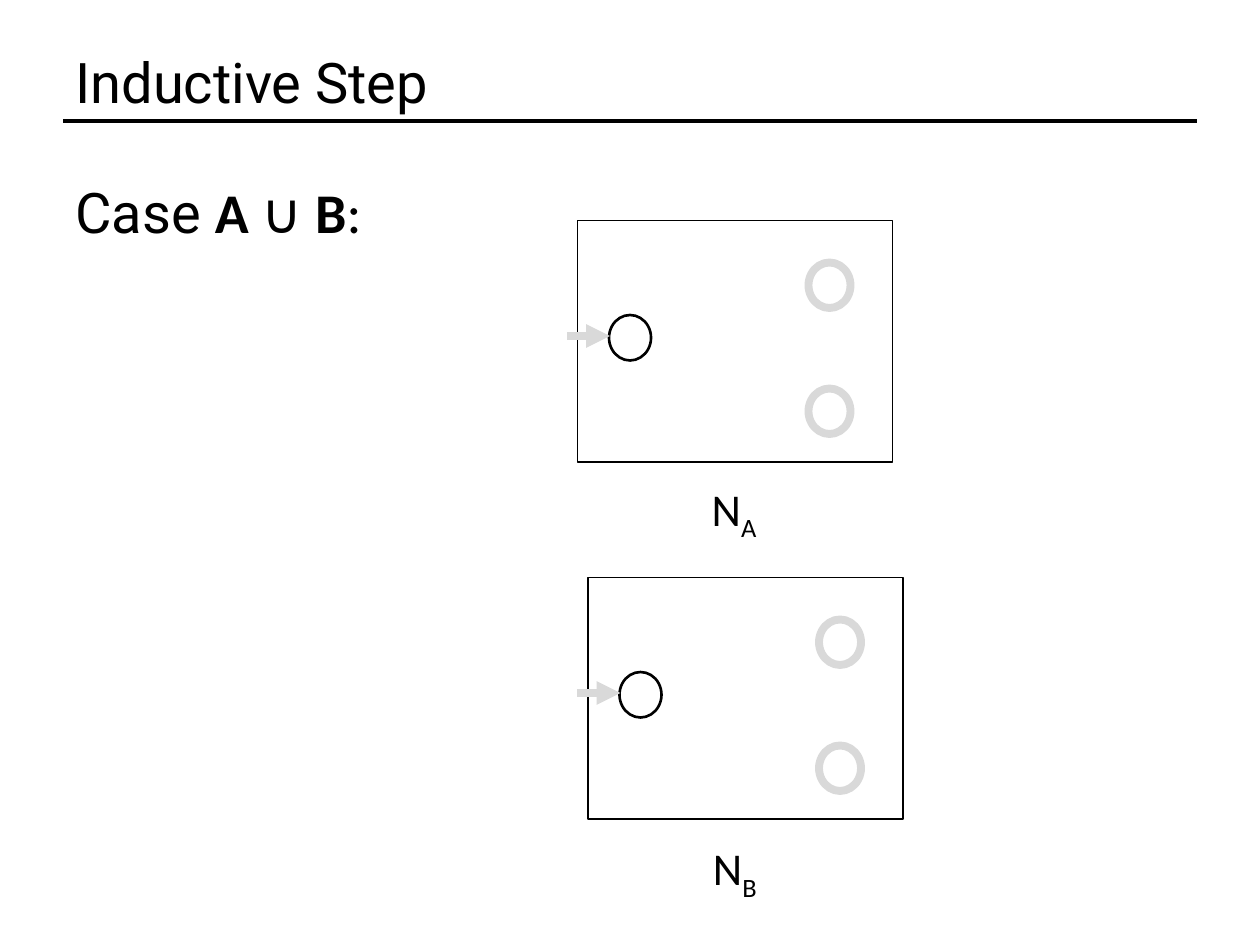
from lxml import etree
from pptx import Presentation
from pptx.dml.color import RGBColor
from pptx.enum import shapes, text
from pptx.oxml import ns
from pptx.util import Pt

BLACK = RGBColor(0, 0, 0)
GREY = RGBColor(0xD9, 0xD9, 0xD9)

prs = Presentation()
prs.slide_width, prs.slide_height = Pt(720), Pt(540)
slide = prs.slides.add_slide(prs.slide_layouts[6])


def add_text(left, top, width, height, runs, size, wrap=True):
    """Add a one-paragraph box; each run is (words, font name, bold)."""
    box = slide.shapes.add_textbox(Pt(left), Pt(top), Pt(width), Pt(height))
    box.text_frame.word_wrap = wrap
    paragraph = box.text_frame.paragraphs[0]
    for words, face, bold in runs:
        run = paragraph.add_run()
        run.text = words
        run.font.name = face
        run.font.size = Pt(size)
        run.font.bold = bold
        run.font.color.rgb = BLACK
    return box.text_frame


def add_line(parent, x1, y1, x2, y2, color, weight):
    line = parent.add_connector(shapes.MSO_CONNECTOR.STRAIGHT,
                                Pt(x1), Pt(y1), Pt(x2), Pt(y2))
    line.line.color.rgb = color
    line.line.width = Pt(weight)
    etree.SubElement(line._element.spPr, ns.qn("a:effectLst"))
    return line


# Title and rule
title = add_text(36, 21.6, 648, 47.5, [("Inductive Step", "Roboto", False)], 32)
title.vertical_anchor = text.MSO_ANCHOR.BOTTOM
add_line(slide.shapes, 36, 69, 684, 69, BLACK, 2)

# Case heading
add_text(36, 98, 648, 404.6, [
    ("Case ", "Roboto", False),
    ("A", "Calibri", True),
    (" ∪", "Calibri", False),
    (" B", "Calibri", True),
    (":", "Calibri", False),
], 32)

# The two automata: frame, start arrow, start state, accepting states
RECT, OVAL = shapes.MSO_SHAPE.RECTANGLE, shapes.MSO_SHAPE.OVAL
for x, y in [(330, 126), (336, 330)]:
    automaton = slide.shapes.add_group_shape().shapes
    for kind, dx, dy, width, height, color, weight in [
        (RECT, 0, 0, 180, 138, BLACK, 1),
        (OVAL, 18, 54, 24, 26, BLACK, 1.5),
        (OVAL, 132, 24, 24, 26, GREY, 4.5),
        (OVAL, 132, 96, 24, 26, GREY, 4.5),
    ]:
        part = automaton.add_shape(kind, Pt(x + dx), Pt(y + dy), Pt(width), Pt(height))
        part.shadow.inherit = False
        part.fill.background()
        part.line.color.rgb = color
        part.line.width = Pt(weight)
    start = add_line(automaton, x - 6, y + 66, x + 18.5, y + 66, GREY, 4.5)
    etree.SubElement(start.line._get_or_add_ln(), ns.qn("a:tailEnd"), type="triangle")

# Automaton names with subscripts
for subscript, left, top in [("A", 399.6, 271.4), ("B", 400.3, 476.6)]:
    name = add_text(left, top, 41.5, 38.9,
                    [("N", "Calibri", False), (subscript, "Calibri", False)], 26, wrap=False)
    name.auto_size = text.MSO_AUTO_SIZE.SHAPE_TO_FIT_TEXT
    name.paragraphs[0].runs[1].font._element.set("baseline", "-25000")

prs.save("out.pptx")
